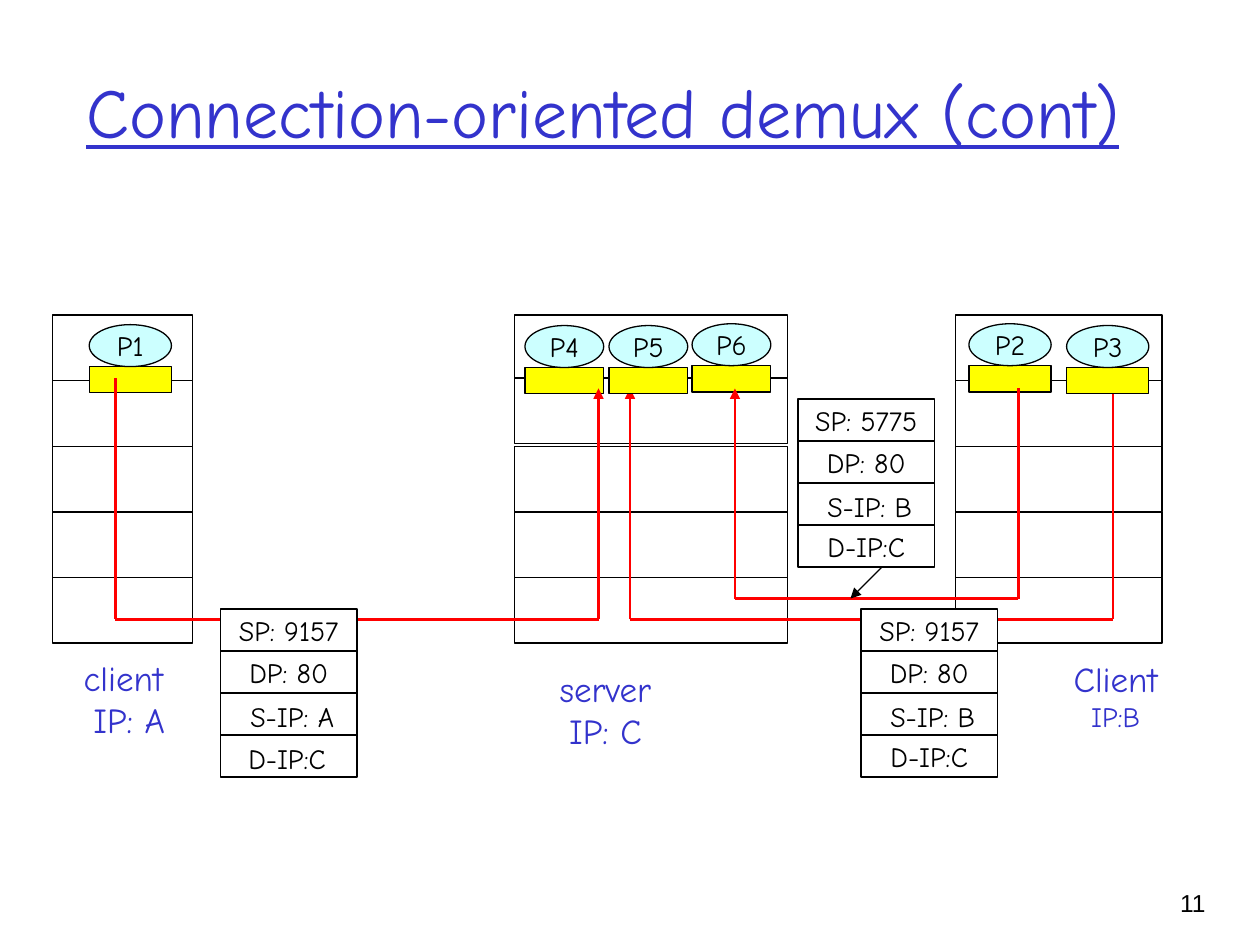
from dataclasses import dataclass

from pptx import Presentation
from pptx.dml.color import RGBColor
from pptx.enum import shapes, text
from pptx.oxml import parse_xml
from pptx.oxml.ns import nsdecls
from pptx.util import Pt

BLACK = RGBColor(0x00, 0x00, 0x00)
WHITE = RGBColor(0xFF, 0xFF, 0xFF)
BLUE = RGBColor(0x33, 0x33, 0xCC)
RED = RGBColor(0xFF, 0x00, 0x00)
YELLOW = RGBColor(0xFF, 0xFF, 0x00)
CYAN = RGBColor(0xCC, 0xFF, 0xFF)
FONT = "Comic Neue"
RECT = shapes.MSO_SHAPE.RECTANGLE
OVAL = shapes.MSO_SHAPE.OVAL
CENTER = text.PP_ALIGN.CENTER
LAYER_H = 37.5
FIELD_W, FIELD_H = 78, 24


@dataclass
class Host:
    x: float
    w: float
    tops: tuple = (180, 217.5, 255, 292.5, 330)


@dataclass
class Process:
    name: str
    x: float
    y: float
    w: float


@dataclass
class Flow:
    x1: float
    y1: float
    x2: float
    bottom: float


@dataclass
class Packet:
    x: float
    y: float
    source_port: str
    source_ip: str
    dest_shift: float = 0


@dataclass
class Label:
    x: float
    y: float
    w: float
    h: float
    lines: tuple
    size: float = 20
    last_size: float = 20


HOSTS = [
    Host(30, 80),
    Host(546, 118),
    Host(294, 156, (180, 216, 255, 292.5, 330)),
]
BACK_PROCESSES = [
    Process("P1", 51, 185.5, 47),
    Process("P2", 553.7, 185, 47),
    Process("P4", 300, 186, 45),
    Process("P6", 395.5, 185, 45),
]
FRONT_PROCESSES = [
    Process("P5", 348, 186, 45),
    Process("P3", 609.5, 186, 47),
]
FLOWS = [
    Flow(66, 216, 342, 354),
    Flow(636, 216, 360, 354),
    Flow(582, 222, 420, 342),
]
PACKETS = [
    Packet(126, 348, "SP: 9157", "S-IP: A", -1),
    Packet(492, 348, "SP: 9157", "S-IP: B"),
    Packet(456, 228, "SP: 5775", "S-IP: B"),
]
LABELS = [
    Label(39.5, 371.5, 62, 55.5, ("client", " IP: A")),
    Label(312.5, 378, 67, 55.5, ("server", "IP: C")),
    Label(606, 372, 63, 50.5, ("Client", "IP:B"), last_size=16),
]


def write(tf, *lines, size=16, last_size=None, color=BLACK, font=FONT,
          align=CENTER, anchor=text.MSO_ANCHOR.TOP, wrap=False,
          underline=None):
    tf.word_wrap = wrap
    tf.auto_size = text.MSO_AUTO_SIZE.NONE
    tf.vertical_anchor = anchor
    for i, line in enumerate(lines):
        p = tf.paragraphs[0] if i == 0 else tf.add_paragraph()
        p.alignment = align
        r = p.add_run()
        r.text = line
        r.font.name = font
        r.font.size = Pt(last_size if last_size and i == len(lines) - 1 else size)
        r.font.color.rgb = color
        r.font.underline = underline


def add_box(s, kind, x: float, y: float, w: float, h: float,
            fill: RGBColor = WHITE, caption: str = ""):
    sp = s.shapes.add_shape(kind, Pt(x), Pt(y), Pt(w), Pt(h))
    sp.shadow.inherit = False
    sp.fill.solid()
    sp.fill.fore_color.rgb = fill
    sp.line.color.rgb = BLACK
    sp.line.width = Pt(0.75)
    if caption:
        write(sp.text_frame, caption, anchor=text.MSO_ANCHOR.MIDDLE)


def add_text(s, x: float, y: float, w: float, h: float, *lines, **style):
    sp = s.shapes.add_textbox(Pt(x), Pt(y), Pt(w), Pt(h))
    write(sp.text_frame, *lines, **style)


def add_line(s, x1: float, y1: float, x2: float, y2: float,
             color: RGBColor = RED, width: float = 1.5, arrow: bool = False):
    c = s.shapes.add_connector(shapes.MSO_CONNECTOR.STRAIGHT,
                               Pt(x1), Pt(y1), Pt(x2), Pt(y2))
    c.line.color.rgb = color
    c.line.width = Pt(width)
    if arrow:
        c.line._get_or_add_ln().append(
            parse_xml(f'<a:tailEnd {nsdecls("a")} type="triangle"/>'))
    c._element.spPr.append(parse_xml(f'<a:effectLst {nsdecls("a")}/>'))


def draw_host(s, host: Host):
    for top in host.tops:
        add_box(s, RECT, host.x, top, host.w, LAYER_H)


def draw_process(s, process: Process):
    add_box(s, RECT, process.x, process.y + 24, process.w, 15, YELLOW)
    add_box(s, OVAL, process.x, process.y, process.w, 24, CYAN, process.name)


def draw_flow(s, flow: Flow):
    add_line(s, flow.x1, flow.y1, flow.x1, flow.bottom)
    add_line(s, flow.x1, flow.bottom, flow.x2, flow.bottom)
    add_line(s, flow.x2, flow.bottom, flow.x2, 222, arrow=True)


def draw_packet(s, packet: Packet):
    fields = [(packet.source_port, 0), ("DP: 80", 0),
              (packet.source_ip, 2), ("D-IP:C", packet.dest_shift)]
    for i, (field, shift) in enumerate(fields):
        y = packet.y + i * FIELD_H
        add_box(s, RECT, packet.x, y, FIELD_W, FIELD_H,
                caption="" if shift else field)
        if shift:
            add_text(s, packet.x + 8 + shift, y, FIELD_W - 16, 26.5, field)


def main():
    prs = Presentation()
    prs.slide_width, prs.slide_height = Pt(720), Pt(540)
    s = prs.slides.add_slide(prs.slide_layouts[5])

    title = s.shapes.title
    title.left, title.top, title.width, title.height = Pt(42), Pt(18), Pt(612), Pt(90)
    write(title.text_frame, "Connection-oriented demux (cont)", size=40,
          color=BLUE, align=text.PP_ALIGN.LEFT,
          anchor=text.MSO_ANCHOR.MIDDLE, wrap=True, underline=True)

    for host in HOSTS:
        draw_host(s, host)
    for process in BACK_PROCESSES:
        draw_process(s, process)
    for flow in FLOWS:
        draw_flow(s, flow)
    for process in FRONT_PROCESSES:
        draw_process(s, process)
    for packet in PACKETS:
        draw_packet(s, packet)
    add_line(s, 504, 324, 486, 342, color=BLACK, width=0.75, arrow=True)
    for label in LABELS:
        add_text(s, label.x, label.y, label.w, label.h, *label.lines,
                 size=label.size, last_size=label.last_size, color=BLUE)
    add_text(s, 643, 504, 53, 36, "11", size=14, font="Arial",
             align=text.PP_ALIGN.RIGHT, wrap=True)
    prs.save("out.pptx")


if __name__ == "__main__":
    main()
